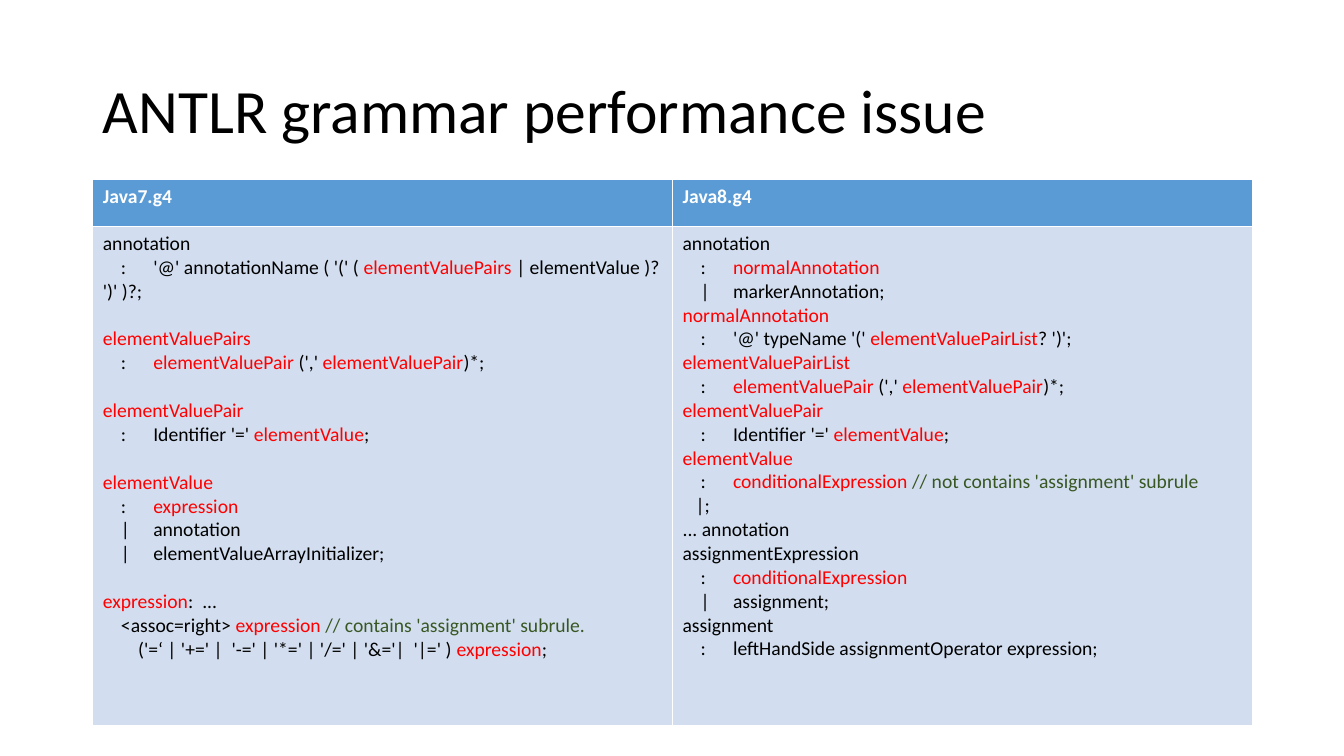
"""Build a slide that compares two ANTLR grammars."""
from lxml import etree
from pptx import Presentation
from pptx.dml.color import RGBColor
from pptx.enum.text import MSO_ANCHOR, PP_ALIGN
from pptx.oxml.ns import qn
from pptx.util import Inches, Pt

LEFT = PP_ALIGN.LEFT
MIDDLE = MSO_ANCHOR.MIDDLE

BLACK = RGBColor(0x00, 0x00, 0x00)
WHITE = RGBColor(0xFF, 0xFF, 0xFF)
RED = RGBColor(0xFF, 0x00, 0x00)
GREEN = RGBColor(0x38, 0x57, 0x23)
HEADER_BLUE = RGBColor(0x5B, 0x9B, 0xD5)
BODY_BLUE = RGBColor(0xD2, 0xDE, 0xEF)

FONT = "Calibri"
CODE_SIZE = 14
FLUSH, SHALLOW, INDENT, DEEP = 0, 0.13, 0.18, 0.35
COLON_TAB, BAR_TAB = 0.36, 0.4

PAIR_LIST_BODY = (INDENT, (BLACK, ":\t"), (RED, "elementValuePair "), (BLACK, "(',' "),
                  (RED, "elementValuePair"), (BLACK, ")*;"))
PAIR_RULE = [
    (FLUSH, (RED, "elementValuePair")),
    (INDENT, (BLACK, ":\tIdentifier '=' "), (RED, "elementValue"), (BLACK, ";")),
]

JAVA7_RULES = [
    [
        (FLUSH, (BLACK, "annotation")),
        (INDENT, (BLACK, ":\t'@' annotationName ( '(' ( "), (RED, "elementValuePairs "),
         (BLACK, "| elementValue )? ')' )?;")),
    ],
    [(FLUSH, (RED, "elementValuePairs")), PAIR_LIST_BODY],
    PAIR_RULE,
    [
        (FLUSH, (RED, "elementValue")),
        (INDENT, (BLACK, ":\t"), (RED, "expression")),
        (INDENT, (BLACK, "|\tannotation")),
        (INDENT, (BLACK, "|\telementValueArrayInitializer;")),
    ],
    [
        (FLUSH, (RED, "expression"), (BLACK, ":  ...")),
        (INDENT, (BLACK, "<assoc=right> "), (RED, "expression "),
         (GREEN, "// contains 'assignment' subrule.")),
        (DEEP, (BLACK, "('=‘ | '+=' |  '-=' | '*=' | '/=' | '&='|  '|=' ) "),
         (RED, "expression"), (BLACK, ";")),
    ],
]

JAVA8_RULES = [
    [
        (FLUSH, (BLACK, "annotation")),
        (INDENT, (BLACK, ":\t"), (RED, "normalAnnotation")),
        (INDENT, (BLACK, "|\tmarkerAnnotation;")),
    ],
    [
        (FLUSH, (RED, "normalAnnotation")),
        (INDENT, (BLACK, ":\t'@' typeName '(' "), (RED, "elementValuePairList"),
         (BLACK, "? ')';")),
    ],
    [(FLUSH, (RED, "elementValuePairList")), PAIR_LIST_BODY],
    PAIR_RULE,
    [
        (FLUSH, (RED, "elementValue")),
        (INDENT, (BLACK, ":\t"), (RED, "conditionalExpression "),
         (GREEN, "// not contains 'assignment' subrule")),
        (SHALLOW, (BLACK, "|;")),
    ],
    [(FLUSH, (BLACK, "... annotation"))],
    [
        (FLUSH, (BLACK, "assignmentExpression")),
        (INDENT, (BLACK, ":\t"), (RED, "conditionalExpression")),
        (INDENT, (BLACK, "|\tassignment;")),
    ],
    [
        (FLUSH, (BLACK, "assignment")),
        (INDENT, (BLACK, ":\tleftHandSide assignmentOperator expression;")),
    ],
]

GRAMMARS = [("Java7.g4", JAVA7_RULES, 17.1), ("Java8.g4", JAVA8_RULES, 0)]


def add_run(paragraph, text, size, color, bold=False):
    """Append one formatted run to a paragraph."""
    run = paragraph.add_run()
    run.text = text
    run.font.name = FONT
    run.font.size = Pt(size)
    run.font.bold = bold
    run.font.color.rgb = color


def set_indent(paragraph, indent, tab):
    """Indent the first line and set the tab stop after its rule mark."""
    properties = paragraph._p.get_or_add_pPr()
    properties.set("marL", "0")
    properties.set("indent", str(Inches(indent)))
    stops = etree.SubElement(properties, qn("a:tabLst"))
    etree.SubElement(stops, qn("a:tab"), pos=str(Inches(tab)), algn="l")


def fill_cell(cell, color):
    """Give a table cell a solid fill."""
    cell.fill.solid()
    cell.fill.fore_color.rgb = color


def write_grammar(cell, rules, rule_gap):
    """Write grammar rules into a cell with a gap in points between rules."""
    paragraph = None
    for rule in rules:
        for position, (indent, *runs) in enumerate(rule):
            first = paragraph is None
            paragraph = cell.text_frame.paragraphs[0] if first else cell.text_frame.add_paragraph()
            if position == 0 and not first:
                paragraph.space_before = Pt(rule_gap)
            if indent:
                set_indent(paragraph, indent, BAR_TAB if runs[0][1].startswith("|") else COLON_TAB)
            for color, text in runs:
                add_run(paragraph, text, CODE_SIZE, color)


def add_title(slide, text, left, top, width, height):
    """Place and format the slide title in the given box."""
    title = slide.shapes.title
    title.left, title.top = Inches(left), Inches(top)
    title.width, title.height = Inches(width), Inches(height)
    title.text_frame.vertical_anchor = MIDDLE
    title.text_frame.word_wrap = True
    heading = title.text_frame.paragraphs[0]
    heading.alignment = LEFT
    heading.line_spacing = 0.9
    add_run(heading, text, 44, BLACK)


def add_grammar_table(slide, left, top, width, height, header_height=0.47):
    """Place the grammars side by side in the given box."""
    table = slide.shapes.add_table(
        2, len(GRAMMARS), Inches(left), Inches(top), Inches(width), Inches(height)).table
    table.rows[0].height = Inches(header_height)
    table.rows[1].height = Inches(height - header_height)
    for column, (file_name, rules, rule_gap) in enumerate(GRAMMARS):
        table.columns[column].width = Inches(width / len(GRAMMARS))
        header, body = table.cell(0, column), table.cell(1, column)
        fill_cell(header, HEADER_BLUE)
        fill_cell(body, BODY_BLUE)
        add_run(header.text_frame.paragraphs[0], file_name, CODE_SIZE, WHITE, bold=True)
        write_grammar(body, rules, rule_gap)


def main():
    """Build and save the presentation."""
    presentation = Presentation()
    presentation.slide_width = Inches(13.33)
    presentation.slide_height = Inches(7.5)
    slide = presentation.slides.add_slide(presentation.slide_layouts[5])
    add_title(slide, "ANTLR grammar performance issue", 0.92, 0.4, 11.5, 1.45)
    add_grammar_table(slide, 0.92, 1.78, 11.5, 5.42)
    presentation.save("out.pptx")


if __name__ == "__main__":
    main()
